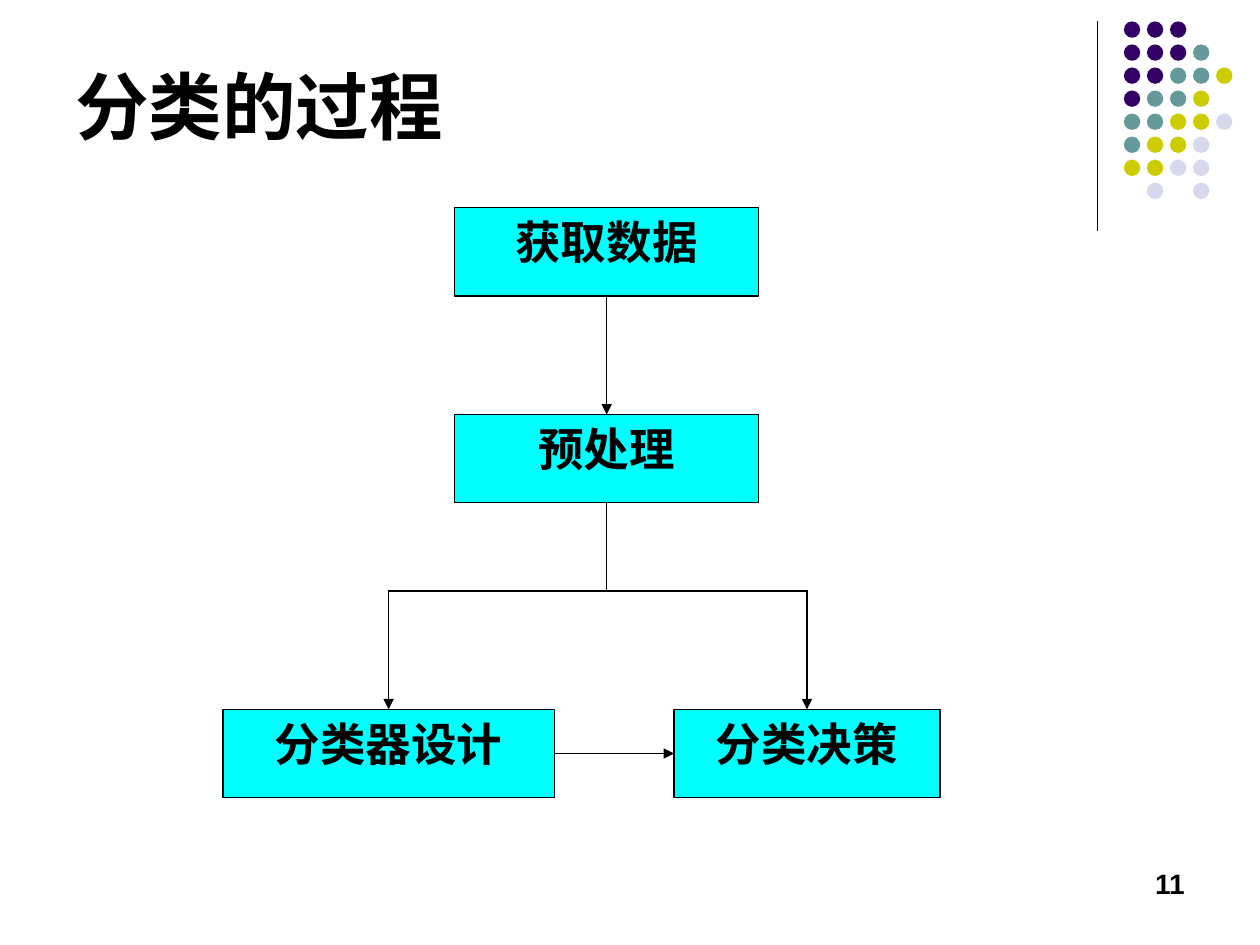
from lxml.etree import SubElement
from pptx import Presentation
from pptx.dml.color import RGBColor
from pptx.enum.shapes import MSO_CONNECTOR, MSO_SHAPE
from pptx.enum.text import MSO_ANCHOR, PP_ALIGN
from pptx.oxml.ns import qn
from pptx.util import Inches, Pt

COLORS = {
    "black": "000000",
    "box": "00FFFF",
    "purple": "330066",
    "teal": "669999",
    "olive": "CCCC00",
    "pale": "D8D8EC",
}

presentation = Presentation()
presentation.slide_width = Inches(10)
presentation.slide_height = Inches(7.5)
slide = presentation.slides.add_slide(presentation.slide_layouts[6])


def write_text(shape, text, size, font_name, alignment, anchor):
    text_frame = shape.text_frame
    text_frame.word_wrap = True
    text_frame.vertical_anchor = anchor
    text_frame.text = text
    paragraph = text_frame.paragraphs[0]
    paragraph.alignment = alignment
    font = paragraph.runs[0].font
    font.size = Pt(size)
    font.name = font_name
    font.bold = True
    font.color.rgb = RGBColor.from_string(COLORS["black"])


def add_line(start, end, arrow=False):
    connector = slide.shapes.add_connector(
        MSO_CONNECTOR.STRAIGHT, *[Inches(value) for value in (*start, *end)])
    connector.line.color.rgb = RGBColor.from_string(COLORS["black"])
    connector.line.width = Pt(0.75)
    if arrow:
        SubElement(connector.line._get_or_add_ln(), qn("a:tailEnd"), type="triangle")
    SubElement(connector._element.spPr, qn("a:effectLst"))
    return connector


# Corner decoration: a rule and a grid of dots, one letter per colour
add_line((8.71, 0.17), (8.71, 1.83))
dot_colors = {"P": "purple", "T": "teal", "O": "olive", "L": "pale"}
dot_rows = ["PPP", "PPPT", "PPTTO", "PTTO", "TTOOL", "TOOL", "OOLL", ".L.L"]
dot_pitch = 1.28 / 7
for row, letters in enumerate(dot_rows):
    for column, letter in enumerate(letters):
        if letter == ".":
            continue
        dot = slide.shapes.add_shape(
            MSO_SHAPE.OVAL, Inches(8.92 + column * dot_pitch),
            Inches(0.17 + row * dot_pitch), Inches(0.13), Inches(0.13))
        dot.shadow.inherit = False
        dot.fill.solid()
        dot.fill.fore_color.rgb = RGBColor.from_string(COLORS[dot_colors[letter]])
        dot.line.fill.background()

# Title and slide number
title = slide.shapes.add_textbox(Inches(0.5), Inches(0.13), Inches(8.25), Inches(1.1))
write_text(title, "分类的过程", 42, "Arial", PP_ALIGN.LEFT, MSO_ANCHOR.BOTTOM)
number = slide.shapes.add_textbox(Inches(7.17), Inches(6.83), Inches(2.33), Inches(0.5))
write_text(number, "11", 16, "Arial", PP_ALIGN.RIGHT, MSO_ANCHOR.TOP)

# Process steps
steps = [
    ("获取数据", 3.61, 1.65, 2.41),
    ("预处理", 3.61, 3.29, 2.41),
    ("分类器设计", 1.77, 5.63, 2.63),
    ("分类决策", 5.35, 5.63, 2.11),
]
boxes = []
for text, left, top, width in steps:
    box = slide.shapes.add_shape(
        MSO_SHAPE.RECTANGLE, Inches(left), Inches(top), Inches(width), Inches(0.7))
    box.shadow.inherit = False
    box.fill.solid()
    box.fill.fore_color.rgb = RGBColor.from_string(COLORS["box"])
    box.line.color.rgb = RGBColor.from_string(COLORS["black"])
    box.line.width = Pt(0.75)
    write_text(box, text, 26, "Times New Roman", PP_ALIGN.CENTER, MSO_ANCHOR.TOP)
    boxes.append(box)
acquire, preprocess, design, decide = boxes

# Arrows from box to box
for source, source_side, target, target_side in [
        (acquire, 2, preprocess, 0), (design, 3, decide, 1)]:
    arrow = add_line((0, 0), (1, 1), arrow=True)
    arrow.begin_connect(source, source_side)
    arrow.end_connect(target, target_side)

# Branch from preprocessing to the two lower steps
branch_y = 4.69
trunk = add_line((4.82, 3.99), (4.82, branch_y))
trunk.begin_connect(preprocess, 2)
add_line((3.08, branch_y), (6.41, branch_y))
for target, x in [(design, 3.08), (decide, 6.41)]:
    arrow = add_line((x, branch_y), (x, 5.63), arrow=True)
    arrow.end_connect(target, 0)
    arrow.begin_x = arrow.end_x
trunk.end_x = trunk.begin_x

presentation.save("out.pptx")
